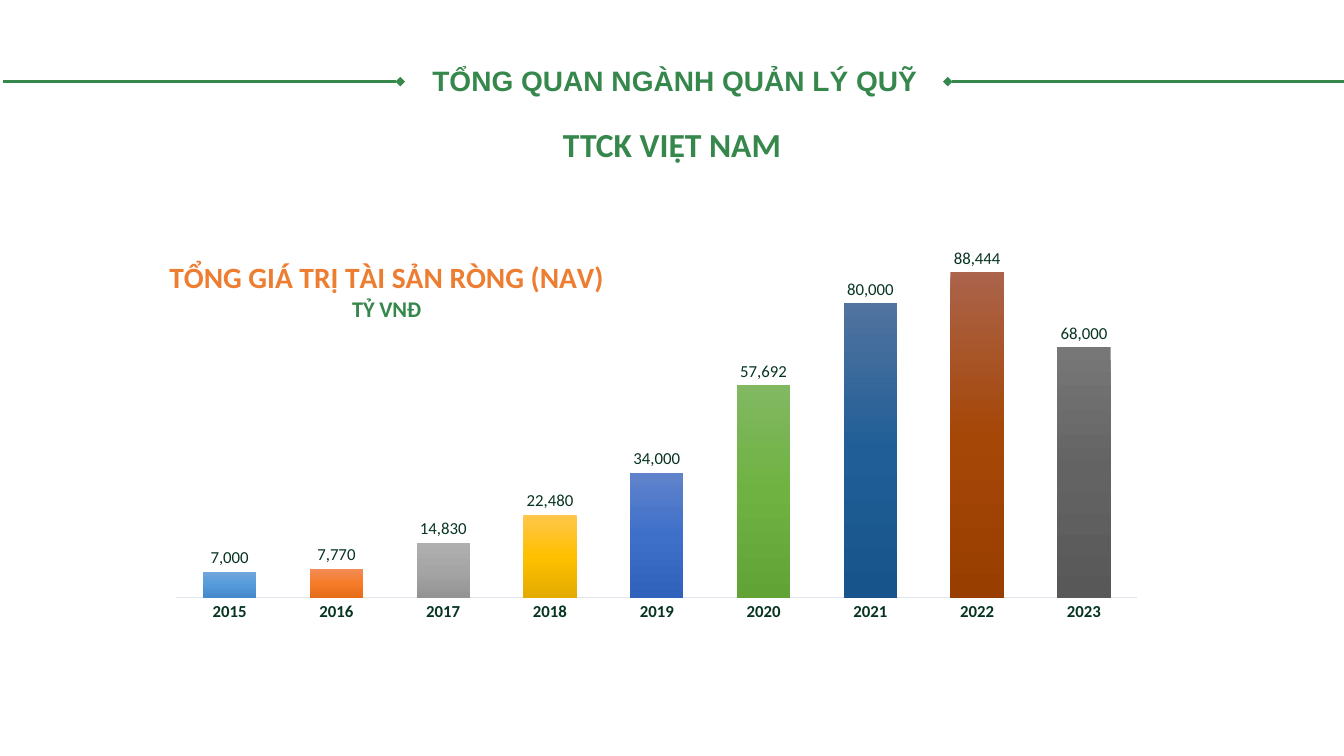
from lxml.etree import SubElement
from copy import deepcopy
from pptx import Presentation
from pptx.chart.data import CategoryChartData
from pptx.dml.color import RGBColor
from pptx.enum.chart import XL_CHART_TYPE, XL_LABEL_POSITION, XL_TICK_LABEL_POSITION, XL_TICK_MARK
from pptx.enum.shapes import MSO_CONNECTOR
from pptx.enum.text import MSO_ANCHOR, PP_ALIGN
from pptx.oxml import parse_xml
from pptx.oxml.ns import nsdecls, qn
from pptx.util import Inches, Pt

GREEN = RGBColor(0x35, 0x87, 0x4C)
DARK = RGBColor(0x06, 0x34, 0x20)
ORANGE = RGBColor(0xED, 0x7D, 0x31)
PALE = RGBColor(0xE0, 0xE5, 0xEB)
BLACK = RGBColor(0, 0, 0)

# Year, net asset value, and the bar's top, middle and bottom colours
FUNDS = [
    ("2015", 7000, "71A6DB", "559BDB", "448ACA"),
    ("2016", 7770, "F18C57", "F67B28", "E56C19"),
    ("2017", 14830, "AFAFAF", "A5A5A5", "939393"),
    ("2018", 22480, "FFC64B", "FFC000", "E3AB00"),
    ("2019", 34000, "6183CB", "3E70CA", "3062BB"),
    ("2020", 57692, "81B861", "6FB242", "62A336"),
    ("2021", 80000, "51739F", "205E97", "17548B"),
    ("2022", 88444, "AB634B", "A54707", "983E00"),
    ("2023", 68000, "777777", "636363", "585858"),
]


def style(font, size, color, bold=False, name="Calibri"):
    look = {"size": Pt(size), "bold": bold, "name": name}
    for key, value in look.items():
        setattr(font, key, value)
    font.color.rgb = color


def place(part, index, **spots):
    """Give a chart part a manual layout, in fractions of the chart."""
    for old in part.findall(qn("c:layout")):
        part.remove(old)
    layout = parse_xml(f"<c:layout {nsdecls('c')}><c:manualLayout/></c:layout>")
    manual = layout[0]
    if "w" in spots:
        SubElement(manual, qn("c:layoutTarget")).set("val", "inner")
    for key in ("xMode", "yMode"):
        SubElement(manual, qn("c:" + key)).set("val", "edge")
    for key, value in spots.items():
        SubElement(manual, qn("c:" + key)).set("val", str(value))
    part.insert(index, layout)


class Board:
    def __init__(self, slide):
        self.slide = slide

    def text(self, box, words, size, align, indent=0.0, name="Calibri"):
        frame = self.slide.shapes.add_textbox(*map(Inches, box)).text_frame
        frame.word_wrap = True
        frame.vertical_anchor = MSO_ANCHOR.MIDDLE
        para = frame.paragraphs[0]
        para.alignment = align
        if indent:
            para.line_spacing = 0.9
            para._p.get_or_add_pPr().set("marL", str(Inches(indent)))
        run = para.add_run()
        run.text = words
        style(run.font, size, GREEN, True, name)

    def rule(self, start, stop, y, end):
        """Draw a level line with a diamond at headEnd or tailEnd."""
        ends = map(Inches, (start, y, stop, y))
        line = self.slide.shapes.add_connector(MSO_CONNECTOR.STRAIGHT, *ends)
        line.line.color.rgb = GREEN
        line.line.width = Pt(2.25)
        SubElement(line.line._get_or_add_ln(), qn("a:" + end)).set("type", "diamond")
        SubElement(line._element.spPr, qn("a:effectLst"))

    def chart(self, box):
        data = CategoryChartData(number_format="#,##0")
        data.categories = [fund[0] for fund in FUNDS]
        data.add_series("Series 1", [fund[1] for fund in FUNDS])
        chart = self.slide.shapes.add_chart(
            XL_CHART_TYPE.COLUMN_CLUSTERED, *map(Inches, box), data).chart
        style(chart.font, 10, BLACK)
        chart.has_legend = False
        self.axes(chart)
        self.bars(chart.plots[0])
        self.head(chart)
        place(chart._chartSpace.chart.plotArea, 0, x=0.02, y=0.2, w=0.96, h=0.73)

    def axes(self, chart):
        years, worth = chart.category_axis, chart.value_axis
        for axis in (years, worth):
            looks = {"has_major_gridlines": False,
                     "major_tick_mark": XL_TICK_MARK.NONE,
                     "minor_tick_mark": XL_TICK_MARK.NONE}
            for key, value in looks.items():
                setattr(axis, key, value)
        style(years.tick_labels.font, 12, DARK, True)
        years.format.line.color.rgb = PALE
        years.format.line.width = Pt(0.75)
        worth.minimum_scale, worth.maximum_scale = 0, 100000
        worth.tick_label_position = XL_TICK_LABEL_POSITION.NONE
        worth.format.line.fill.background()

    def bars(self, plot):
        looks = {"gap_width": 100, "overlap": -24,
                 "vary_by_categories": False, "has_data_labels": True}
        for key, value in looks.items():
            setattr(plot, key, value)
        labels = plot.data_labels
        looks = {"show_value": True, "number_format": "#,##0",
                 "number_format_is_linked": False,
                 "position": XL_LABEL_POSITION.OUTSIDE_END}
        for key, value in looks.items():
            setattr(labels, key, value)
        style(labels.font, 12, DARK)
        series = plot.series[0]
        fills = [series.points[i].format.fill for i in range(len(FUNDS))]
        for fill in fills:
            fill.gradient()
            fill.gradient_angle = 270
        for stops in series._element.iter(qn("a:gsLst")):
            stops.insert(1, deepcopy(stops[0]))
        for fill, fund in zip(fills, FUNDS):
            for i, (stop, tone) in enumerate(zip(fill.gradient_stops, fund[2:])):
                stop.position = i / 2
                stop.color.rgb = RGBColor.from_string(tone)

    def head(self, chart):
        chart.has_title = True
        title = chart.chart_title
        title.include_in_layout = False
        frame = title.text_frame
        lines = [("TỔNG GIÁ TRỊ TÀI SẢN RÒNG (NAV)", 21, ORANGE), ("TỶ VNĐ", 16, GREEN)]
        for i, (words, size, color) in enumerate(lines):
            para = frame.add_paragraph() if i else frame.paragraphs[0]
            para.alignment = PP_ALIGN.CENTER
            run = para.add_run()
            run.text = words
            style(run.font, size, color, True)
        place(title._element, 1, x=0.01, y=0.25)


def main():
    deck = Presentation()
    deck.slide_width, deck.slide_height = Inches(13.33), Inches(7.5)
    board = Board(deck.slides.add_slide(deck.slide_layouts[6]))
    board.text((3.97, 0.34, 10.34, 0.95), "TỔNG QUAN NGÀNH QUẢN LÝ QUỸ", 20,
               PP_ALIGN.JUSTIFY, 0.22, "Arial")
    board.chart((1.55, 1.28, 9.93, 5))
    board.rule(9.4, 13.33, 0.81, "headEnd")
    board.rule(0.03, 3.97, 0.81, "tailEnd")
    board.text((5.02, 1.18, 3.29, 0.5), "TTCK VIỆT NAM", 24, PP_ALIGN.CENTER)
    deck.save("out.pptx")


if __name__ == "__main__":
    main()
